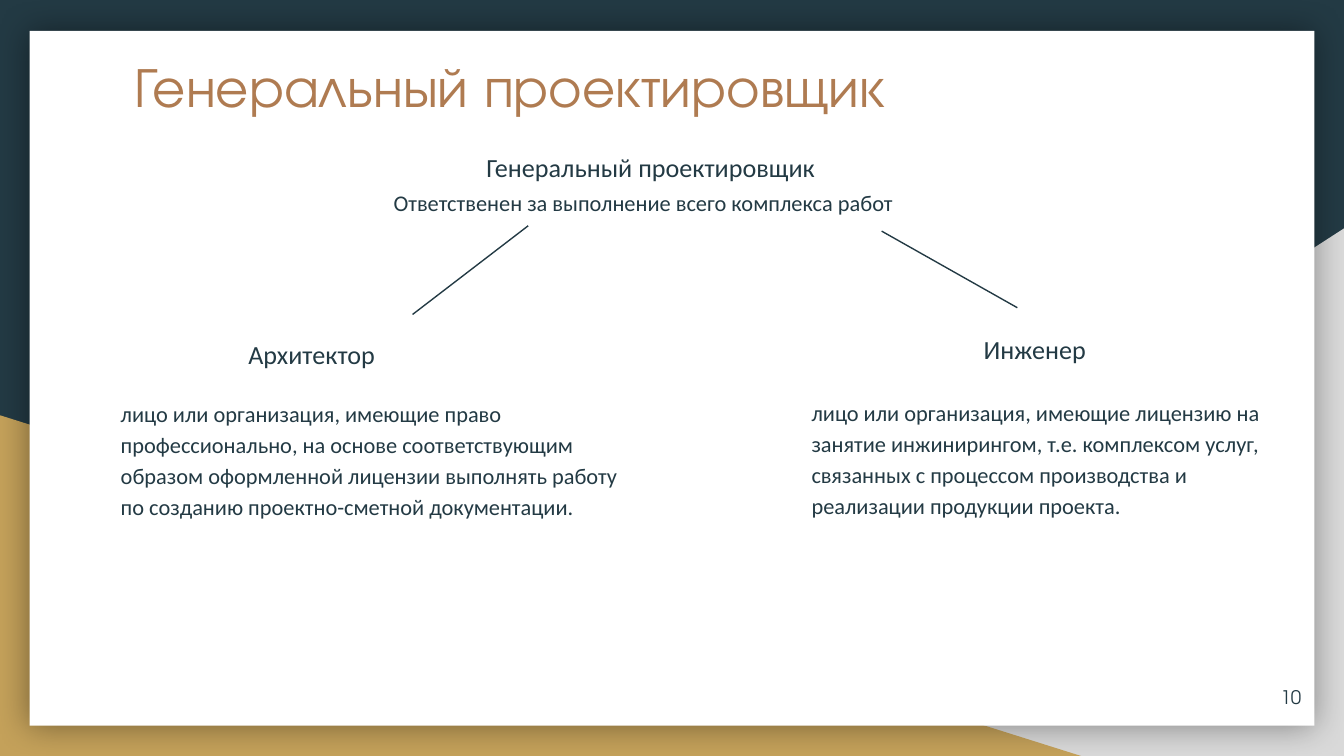
from dataclasses import dataclass

from lxml import etree
from pptx import Presentation
from pptx import util as u
from pptx.dml.color import RGBColor
from pptx.enum import shapes, text
from pptx.oxml.ns import qn


@dataclass(frozen=True)
class Theme:
    dark: str = "233A44"
    gray: str = "D9D9D9"
    gold: str = "C4A15A"
    white: str = "FFFFFF"
    copper: str = "AF7B51"
    body_font: str = "Calibri"
    display_font: str = "TeX Gyre Adventor"
    title_size: int = 30
    heading_size: int = 14
    body_size: int = 12
    number_size: int = 10


THEME = Theme()
TITLE_ONLY = 5


def color(value):
    return RGBColor.from_string(value)


def add_block(slide, kind, box, fill, flip=False):
    shape = slide.shapes.add_shape(kind, *map(u.Inches, box))
    shape.fill.solid()
    shape.fill.fore_color.rgb = color(fill)
    shape.line.fill.background()
    shape.shadow.inherit = False
    if flip:
        shape._element.spPr.xfrm.set("flipH", "1")
    return shape


def add_glow_shadow(shape, blur, opacity):
    effects = shape._element.spPr.find(qn("a:effectLst"))
    shadow = etree.SubElement(effects, qn("a:outerShdw"), blurRad=str(u.Pt(blur)),
                              dist="0", dir="0", algn="ctr", rotWithShape="0")
    black = etree.SubElement(shadow, qn("a:srgbClr"), val="000000")
    etree.SubElement(black, qn("a:alpha"), val=str(opacity * 1000))


def write_text(shape, words, size, font=THEME.body_font, ink=THEME.dark, spacing=1.0,
               align=text.PP_ALIGN.LEFT, anchor=text.MSO_ANCHOR.TOP):
    frame = shape.text_frame
    frame.text = words
    frame.word_wrap = True
    frame.auto_size = text.MSO_AUTO_SIZE.NONE
    frame.vertical_anchor = anchor
    frame.margin_left = frame.margin_right = u.Inches(0.1)
    frame.margin_top = frame.margin_bottom = u.Inches(0.1)
    paragraph = frame.paragraphs[0]
    paragraph.alignment = align
    paragraph.line_spacing = spacing
    for run in paragraph.runs:
        run.font.size = u.Pt(size)
        run.font.name = font
        run.font.color.rgb = color(ink)


def add_text(slide, box, words, size, **style):
    write_text(slide.shapes.add_textbox(*map(u.Inches, box)), words, size, **style)


def add_branch(slide, start, end):
    branch = slide.shapes.add_connector(shapes.MSO_CONNECTOR.STRAIGHT,
                                        *map(u.Inches, start + end))
    branch.line.color.rgb = color(THEME.dark)
    branch.line.width = u.Pt(0.75)
    etree.SubElement(branch._element.spPr, qn("a:effectLst"))


def add_backdrop(slide):
    slide.background.fill.solid()
    slide.background.fill.fore_color.rgb = color(THEME.dark)
    triangle = shapes.MSO_SHAPE.RIGHT_TRIANGLE
    add_block(slide, triangle, (3.92, 1.7, 6.08, 3.93), THEME.gray, flip=True)
    add_block(slide, triangle, (0, 3.09, 8.06, 2.54), THEME.gold)
    card = add_block(slide, shapes.MSO_SHAPE.RECTANGLE, (0.22, 0.23, 9.56, 5.17), THEME.white)
    add_glow_shadow(card, blur=18, opacity=40)


def add_title(slide, box, words):
    title = slide.shapes.title
    title.left, title.top, title.width, title.height = map(u.Inches, box)
    write_text(title, words, THEME.title_size, font=THEME.display_font, ink=THEME.copper)
    # Bring the title in front of the backdrop
    slide.shapes._spTree.append(title._element)


def main():
    # Widescreen page, 16:9
    presentation = Presentation()
    presentation.slide_width = u.Inches(10)
    presentation.slide_height = u.Inches(10 * 9 / 16)
    slide = presentation.slides.add_slide(presentation.slide_layouts[TITLE_ONLY])

    add_backdrop(slide)
    add_title(slide, (0.9, 0.28, 8.21, 1.04), "Генеральный проектировщик")

    # Root of the scheme
    add_text(slide, (3.52, 0.99, 3.26, 0.54), "Генеральный проектировщик",
             THEME.heading_size, spacing=1.15)

    # Branches
    add_branch(slide, (3.93, 1.68), (3.07, 2.34))
    add_branch(slide, (6.56, 1.72), (7.57, 2.29))

    # Names of the two roles
    add_text(slide, (1.75, 2.38, 1.44, 0.42), "Архитектор", THEME.heading_size, spacing=1.15)
    add_text(slide, (7.22, 2.38, 1.34, 0.37), "Инженер", THEME.heading_size)

    # Descriptions: architect, engineer, general designer
    descriptions = (
        ((0.8, 2.85, 4.02, 2.06),
         "лицо или организация, имеющие право профессионально, на основе "
         "соответствующим образом оформленной лицензии выполнять работу по "
         "созданию проектно-сметной документации."),
        ((5.94, 2.84, 3.64, 1.72),
         "лицо или организация, имеющие лицензию на занятие инжинирингом, "
         "т.е. комплексом услуг, связанных с процессом производства и "
         "реализации продукции проекта."),
        ((2.83, 1.28, 5.12, 0.28),
         "Ответственен за выполнение всего комплекса работ"),
    )
    for box, words in descriptions:
        add_text(slide, box, words, THEME.body_size, spacing=1.15)

    # Slide number
    add_text(slide, (9.18, 4.97, 0.6, 0.43), "10", THEME.number_size,
             font=THEME.display_font, align=text.PP_ALIGN.RIGHT,
             anchor=text.MSO_ANCHOR.MIDDLE)

    presentation.save("out.pptx")


if __name__ == "__main__":
    main()
